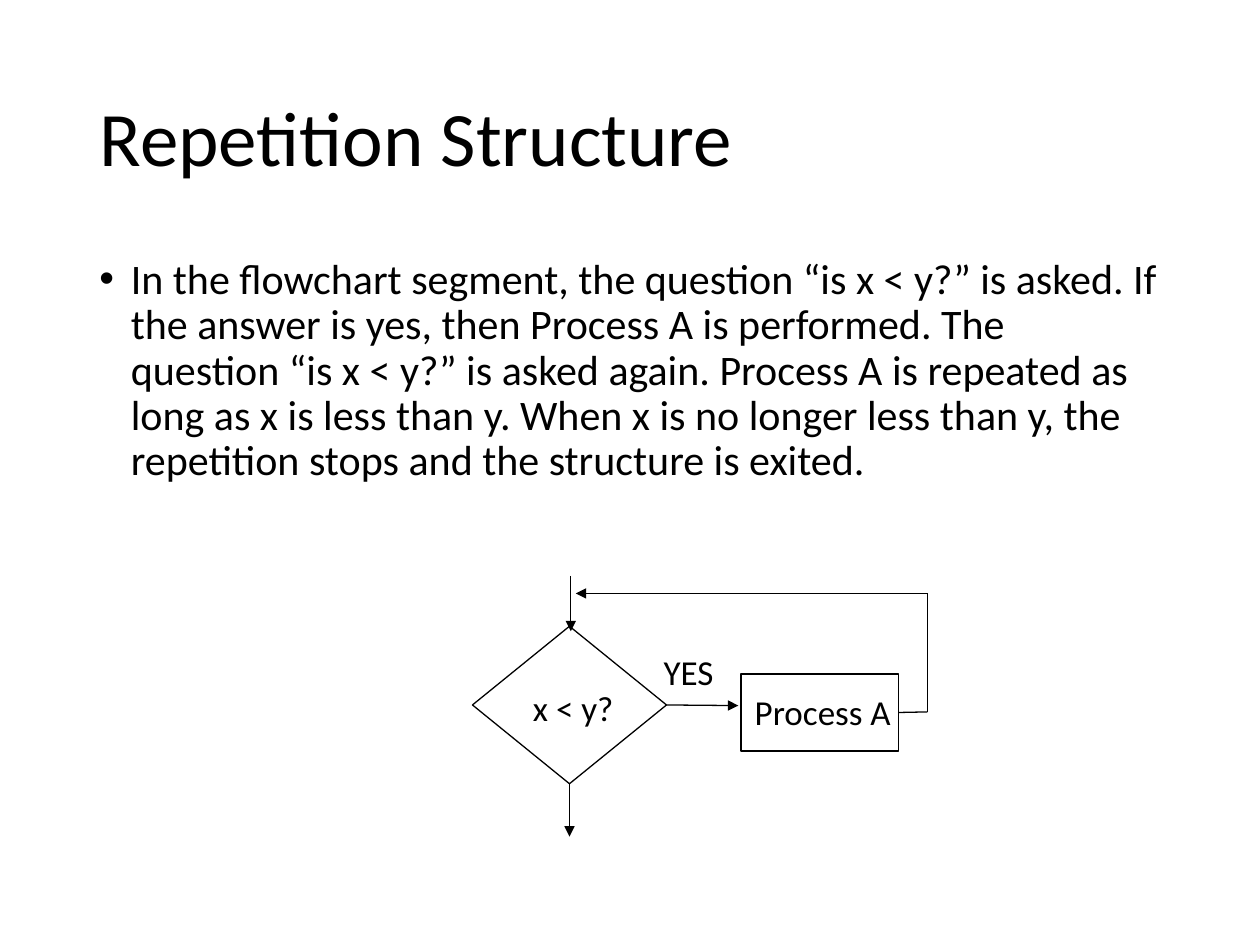
from lxml.etree import SubElement
from pptx import Presentation
from pptx.dml.color import RGBColor
from pptx.enum.shapes import MSO_CONNECTOR as Link, MSO_SHAPE as Shape
from pptx.enum.text import MSO_ANCHOR as Anchor, PP_ALIGN as Align
from pptx.oxml.ns import qn
from pptx.util import Inches, Pt

BLACK = RGBColor(0, 0, 0)
WHITE = RGBColor(255, 255, 255)
COLS, ROWS = 100, 75
BOTTOM, RIGHT = 2, 3


class Deck:
    """Style and current slide; lengths are grid columns and rows."""
    font = "Calibri"
    line = Pt(0.75)

    def __init__(self):
        self.prs = Presentation()
        self.prs.slide_width, self.prs.slide_height = Inches(10), Inches(7.5)
        self.slide = self.prs.slides.add_slide(self.prs.slide_layouts[5])
        self.slide.background.fill.solid()
        self.slide.background.fill.fore_color.rgb = WHITE
        self.shapes = self.slide.shapes

    def grid(self, col, row):
        return (round(self.prs.slide_width * col / COLS),
                round(self.prs.slide_height * row / ROWS))

    def fill_text(self, box, text, size, align=Align.LEFT, anchor=Anchor.TOP):
        frame = box.text_frame
        frame.word_wrap = True
        frame.vertical_anchor = anchor
        para = frame.paragraphs[0]
        para.alignment = align
        run = para.add_run()
        run.text = text
        run.font.name, run.font.size = self.font, Pt(size)
        run.font.color.rgb = BLACK
        return para

    def title(self, text, pos, dim):
        box = self.shapes.title
        box.left, box.top = self.grid(*pos)
        box.width, box.height = self.grid(*dim)
        para = self.fill_text(box, text, 44, anchor=Anchor.MIDDLE)
        para.line_spacing = 0.9

    def text(self, text, pos, dim, size=20, align=Align.CENTER):
        box = self.shapes.add_textbox(*self.grid(*pos), *self.grid(*dim))
        return self.fill_text(box, text, size, align)

    def bullet(self, text, pos, dim):
        para = self.text(text, pos, dim, 24, Align.LEFT)
        para.line_spacing, para.space_before = 0.9, Pt(10)
        props = para._p.get_or_add_pPr()
        props.set("marL", str(Inches(0.25)))
        props.set("indent", str(-Inches(0.25)))
        SubElement(props, qn("a:buFont"), typeface="Arial")
        SubElement(props, qn("a:buChar"), char="•")

    def node(self, kind, pos, dim):
        node = self.shapes.add_shape(kind, *self.grid(*pos), *self.grid(*dim))
        node.shadow.inherit = False
        node.fill.background()
        node.line.color.rgb, node.line.width = BLACK, self.line
        return node

    def link(self, start, end, arrow=True, node=None, side=RIGHT):
        link = self.shapes.add_connector(
            Link.STRAIGHT, *self.grid(*start), *self.grid(*end))
        link.line.color.rgb, link.line.width = BLACK, self.line
        if node is not None:
            link.begin_connect(node, side)
        if arrow:
            SubElement(link.line._get_or_add_ln(), qn("a:tailEnd"),
                       type="triangle")
        SubElement(link._element.spPr, qn("a:effectLst"))


def main():
    deck = Deck()

    # Title and explanation
    deck.title("Repetition Structure", (6.9, 4), (86.2, 14.5))
    deck.bullet(
        "In the flowchart segment, the question “is x < y?” is asked. "
        "If the answer is yes, then Process A is performed. The question "
        "“is x < y?” is asked again. Process A is repeated as long as x is "
        "less than y. When x is no longer less than y, the repetition stops "
        "and the structure is exited.", (6.9, 20), (86.2, 47.6))

    # Decision and process
    test = deck.node(Shape.FLOWCHART_DECISION, (37.5, 49.7), (15.4, 12.5))
    task = deck.node(Shape.RECTANGLE, (58.8, 53.5), (12.5, 6.1))

    # Entry, yes branch and exit
    deck.link((45.3, 45.7), (45.3, 50.1))
    deck.link((52.9, 56), (58.6, 56), node=test, side=RIGHT)
    deck.link((45.2, 62.2), (45.2, 66.4), node=test, side=BOTTOM)

    # Loop back to the test
    low, high = (73.6, 56.5), (73.6, 47.1)
    deck.link((71.3, 56.5), low, arrow=False, node=task, side=RIGHT)
    deck.link(low, high, arrow=False)
    deck.link(high, (45.7, 47.1))

    # Labels
    deck.text("x < y?", (40.3, 54), (10.4, 4.3))
    deck.text("Process A", (58.2, 54.3), (14.2, 4.3))
    deck.text("YES", (50.4, 51.1), (8.5, 4.3))

    deck.prs.save("out.pptx")


if __name__ == "__main__":
    main()
